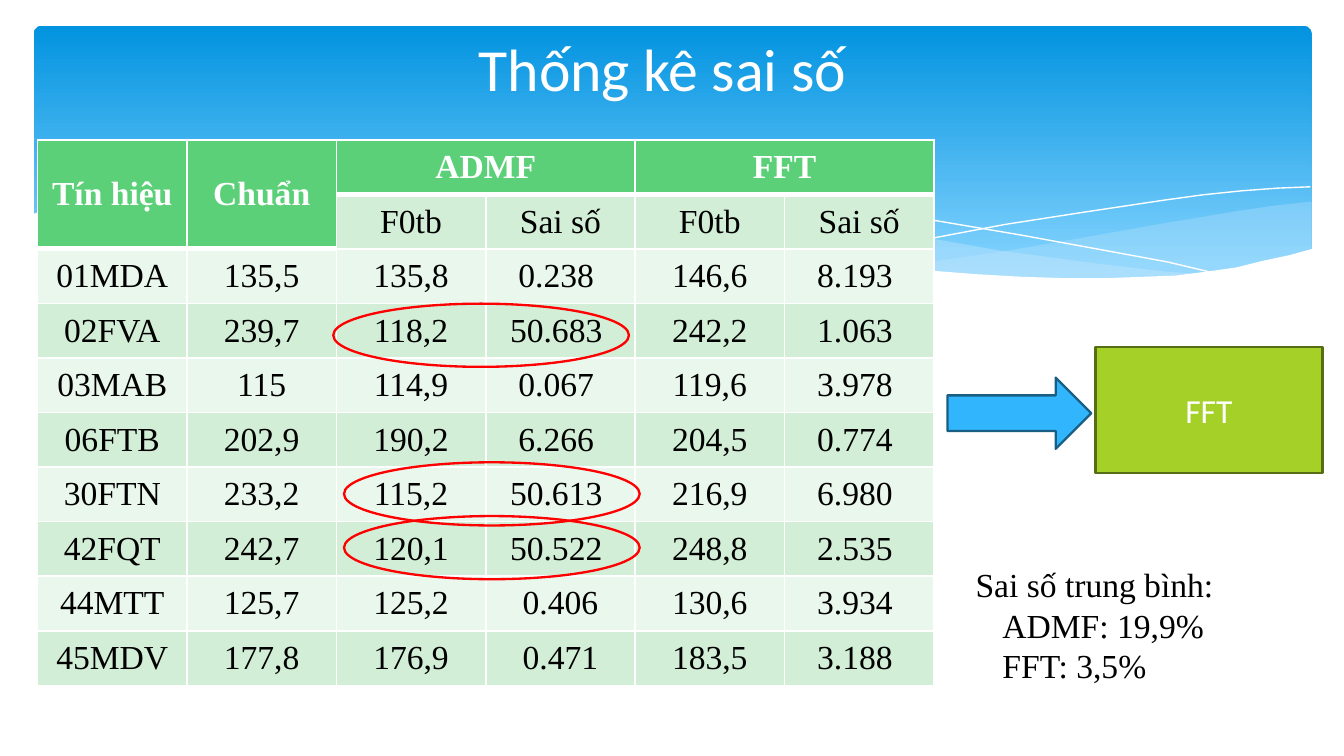
from dataclasses import dataclass

from lxml.etree import SubElement
from pptx import Presentation
from pptx.dml.color import RGBColor
from pptx.enum.shapes import MSO_SHAPE as Shape
from pptx.enum.text import MSO_ANCHOR as Anchor, PP_ALIGN as Align
from pptx.oxml.ns import qn
from pptx.util import Inches, Pt


@dataclass(frozen=True)
class Theme:
    white: str = "FFFFFF"
    black: str = "000000"
    sky_top: str = "0293E0"
    sky_bottom: str = "83D3FE"
    wave: str = "C6E7FC"
    header: str = "5BD078"
    bands: tuple = ("EAF7EC", "D2EED6")
    ring: str = "FF0000"
    arrow: str = "31B6FD"
    arrow_edge: str = "195F84"
    result: str = "A5D028"
    result_edge: str = "566D15"
    sans: str = "Calibri"
    serif: str = "Times New Roman"
    title_size: int = 32
    body_size: int = 18
    edge: float = 1.25


class Sketch:
    """Draws styled elements on one slide."""

    def __init__(self, page, theme):
        self.page = page
        self.theme = theme

    def style(self, para, face, color, size=None, bold=False, align=Align.CENTER):
        para.alignment = align
        font = para.font
        font.name, font.bold = face, bold
        font.size = Pt(size or self.theme.body_size)
        font.color.rgb = RGBColor.from_string(color)

    def paint(self, shape, fill=None, line=None, width=0, alpha=None):
        shape.shadow.inherit = False
        if fill:
            shape.fill.solid()
            shape.fill.fore_color.rgb = RGBColor.from_string(fill)
        else:
            shape.fill.background()
        if alpha:
            color = shape._element.spPr.find(qn("a:solidFill"))[0]
            SubElement(color, qn("a:alpha"), val=str(alpha * 1000))
        if line:
            shape.line.color.rgb = RGBColor.from_string(line)
            shape.line.width = Pt(width)
        else:
            shape.line.fill.background()

    def shape(self, kind, place, text="", **look):
        shape = self.page.shapes.add_shape(kind, *map(Inches, place))
        self.paint(shape, **look)
        if text:
            frame = shape.text_frame
            frame.text, frame.vertical_anchor = text, Anchor.MIDDLE
            self.style(frame.paragraphs[0], self.theme.sans, self.theme.white)
        return shape

    def sky(self, place):
        shape = self.shape(Shape.ROUNDED_RECTANGLE, place)
        shape.adjustments[0] = 0.03
        shape.fill.gradient()
        shape.fill.gradient_angle = 270
        colors = (self.theme.sky_top, self.theme.sky_bottom)
        for stop, color, position in zip(shape.fill.gradient_stops, colors, (0, 0.9)):
            stop.color.rgb = RGBColor.from_string(color)
            stop.position = position

    def curve(self, points, closed=True, **look):
        start, *others = [(Inches(x), Inches(y)) for x, y in points]
        builder = self.page.shapes.build_freeform(*start)
        builder.add_line_segments(others, close=closed)
        self.paint(builder.convert_to_shape(), **look)

    def title(self, text, place):
        title = self.page.shapes.title
        title._element.getparent().append(title._element)
        title.left, title.top, title.width, title.height = map(Inches, place)
        title.text_frame.text = text
        title.text_frame.vertical_anchor = Anchor.MIDDLE
        self.style(title.text_frame.paragraphs[0], self.theme.sans, self.theme.white,
                   self.theme.title_size)

    def cell(self, cell, text, fill, heading):
        theme = self.theme
        props = cell._tc.get_or_add_tcPr()
        for side in "LRTB":
            width = Pt(3 if heading and side == "B" else 1)
            border = SubElement(props, qn(f"a:ln{side}"), w=str(width))
            solid = SubElement(border, qn("a:solidFill"))
            SubElement(solid, qn("a:srgbClr"), val=theme.white)
        cell.fill.solid()
        cell.fill.fore_color.rgb = RGBColor.from_string(fill)
        cell.vertical_anchor = Anchor.MIDDLE
        cell.text = text
        self.style(cell.text_frame.paragraphs[0], theme.serif,
                   theme.white if heading else theme.black, bold=heading)

    def table(self, rows, place, merges):
        frame = self.page.shapes.add_table(len(rows), len(rows[0]), *map(Inches, place))
        table = frame.table
        table.first_row = table.horz_banding = False
        for r, row in enumerate(rows):
            for c, text in enumerate(row):
                heading = r == 0 or (r == 1 and c < 2)
                fill = self.theme.header if heading else self.theme.bands[r % 2]
                self.cell(table.cell(r, c), text, fill, heading)
        for first, last in merges:
            table.cell(*first).merge(table.cell(*last))

    def note(self, lines, place, indent):
        frame = self.page.shapes.add_textbox(*map(Inches, place)).text_frame
        frame.word_wrap = True
        frame.text = "\n".join(lines)
        for para in frame.paragraphs:
            self.style(para, self.theme.serif, self.theme.black, align=Align.LEFT)
        for para in frame.paragraphs[1:]:
            para._p.get_or_add_pPr().set("marL", str(Inches(indent)))


RIGHT_WAVE = [(9.76, 1.5), (9.48, 1.53), (9.21, 1.57), (8.91, 1.62), (8.61, 1.67),
              (8.05, 1.77), (7.53, 1.86), (7.06, 1.93), (6.61, 1.99), (6.91, 2.02),
              (7.32, 2.05), (7.69, 2.07), (8.14, 2.08), (8.54, 2.07), (8.89, 2.04),
              (9.21, 1.99), (9.49, 1.93), (9.76, 1.85)]
LONG_WAVE = [(8.93, 2.04), (8.66, 2.02), (8.07, 1.95), (7.41, 1.86), (6.68, 1.73),
             (6.29, 1.66), (5.84, 1.58), (5.41, 1.52), (5.02, 1.47), (4.65, 1.43),
             (4.2, 1.4), (3.8, 1.39), (3.44, 1.39), (3.13, 1.41), (2.86, 1.44),
             (3.23, 1.47), (3.62, 1.52), (4.04, 1.58), (4.49, 1.66), (5.3, 1.8),
             (6.01, 1.91), (6.5, 1.98), (6.95, 2.03), (7.36, 2.06), (7.73, 2.08),
             (8.18, 2.09), (8.57, 2.08), (8.93, 2.04)]
FALLING_LINE = [(3.09, 1.47), (3.28, 1.44), (3.63, 1.41), (4.01, 1.4), (4.5, 1.41),
                (4.89, 1.42), (5.33, 1.45), (5.82, 1.5), (6.36, 1.56), (6.95, 1.64),
                (7.6, 1.75), (8.31, 1.88), (8.69, 1.95), (9.07, 2.04)]
RISING_LINE = [(6.13, 1.92), (6.53, 1.85), (6.95, 1.77), (7.48, 1.67), (8.06, 1.58),
               (8.66, 1.49), (8.95, 1.45), (9.24, 1.42), (9.51, 1.4), (9.75, 1.39)]
GROUND = [(9.77, 1.85), (9.59, 1.9), (9.4, 1.94), (9.2, 1.99), (8.99, 2.02),
          (8.75, 2.05), (8.5, 2.06), (8.23, 2.07), (7.93, 2.07), (7.61, 2.06),
          (7.26, 2.04), (6.88, 2.01), (6.48, 1.96), (6.03, 1.91), (5.55, 1.84),
          (5.03, 1.75), (4.47, 1.65), (3.91, 1.55), (3.4, 1.48), (2.92, 1.43),
          (2.5, 1.4), (2.11, 1.38), (1.77, 1.38), (1.46, 1.39), (1.19, 1.4),
          (0.95, 1.43), (0.76, 1.46), (0.59, 1.49), (0.46, 1.52), (0.36, 1.55),
          (0.23, 1.6), (0.23, 2.47), (9.77, 2.47)]
ROWS = [
    ("Tín hiệu", "Chuẩn", "ADMF", "", "FFT", ""),
    ("", "", "F0tb", "Sai số", "F0tb", "Sai số"),
    ("01MDA", "135,5", "135,8", "0.238 ", "146,6", "8.193 "),
    ("02FVA", "239,7", "118,2", "50.683 ", "242,2", "1.063 "),
    ("03MAB", "115", "114,9", "0.067 ", "119,6", "3.978 "),
    ("06FTB", "202,9", "190,2", "6.266 ", "204,5", "0.774 "),
    ("30FTN", "233,2", "115,2", "50.613 ", "216,9", "6.980 "),
    ("42FQT", "242,7", "120,1", "50.522 ", "248,8", "2.535 "),
    ("44MTT", "125,7", "125,2", "0.406", "130,6", "3.934 "),
    ("45MDV", "177,8", "176,9", "0.471", "183,5", "3.188 "),
]
MERGES = [((0, 0), (1, 0)), ((0, 1), (1, 1)), ((0, 2), (0, 3)), ((0, 4), (0, 5))]

deck = Presentation()
deck.slide_width = Inches(10)
deck.slide_height = deck.slide_width * 9 // 16
theme = Theme()
sketch = Sketch(deck.slides.add_slide(deck.slide_layouts[5]), theme)

sketch.sky((0.25, 0.19, 9.51, 2.02))
sketch.curve(RIGHT_WAVE, fill=theme.wave, alpha=29)
sketch.curve(LONG_WAVE, fill=theme.wave, alpha=40)
for line in (FALLING_LINE, RISING_LINE):
    sketch.curve(line, closed=False, line=theme.white)
sketch.curve(GROUND, fill=theme.white)

sketch.title("Thống kê sai số", (0.43, 0.14, 9, 0.72))
sketch.table(ROWS, (0.28, 1.04, 6.67, 4.06), MERGES)
for left, top in ((2.48, 2.26), (2.56, 3.44), (2.56, 3.84)):
    sketch.shape(Shape.OVAL, (left, top, 2.2, 0.47), line=theme.ring, width=theme.edge)
sketch.shape(Shape.RIGHT_ARROW, (7.05, 2.81, 1.07, 0.53),
             fill=theme.arrow, line=theme.arrow_edge, width=theme.edge)
sketch.shape(Shape.RECTANGLE, (8.15, 2.58, 1.69, 0.94), "FFT",
             fill=theme.result, line=theme.result_edge, width=theme.edge)
sketch.note(("Sai số trung bình:", "ADMF: 19,9%", "FFT: 3,5%"), (7.16, 4.15, 2.68, 1.01), 0.2)

deck.save("out.pptx")
